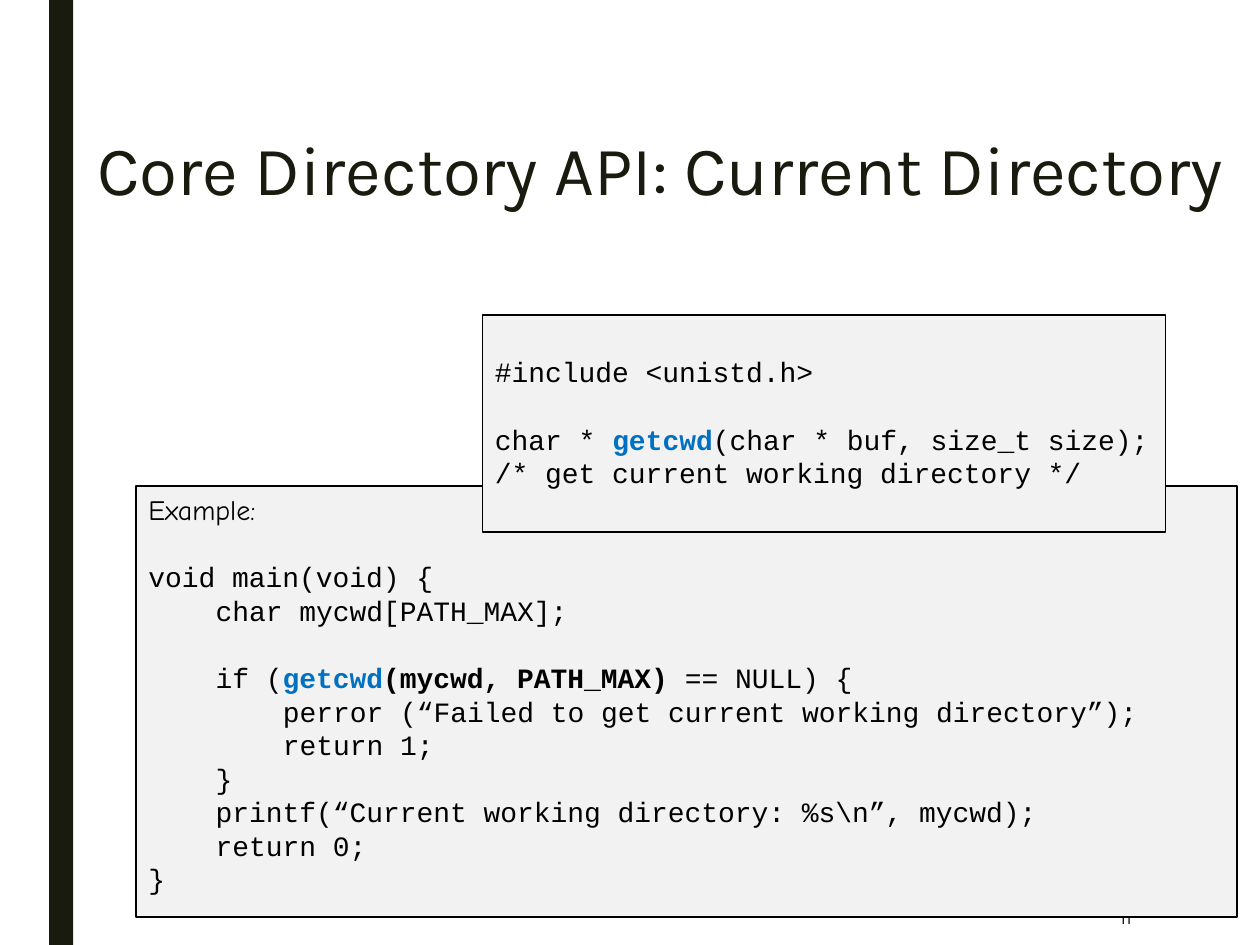
from dataclasses import dataclass

from pptx import Presentation
from pptx.dml.color import RGBColor
from pptx.enum.shapes import MSO_SHAPE
from pptx.enum.text import MSO_ANCHOR, PP_ALIGN
from pptx.util import Inches, Pt

RECT = MSO_SHAPE.RECTANGLE
TOP, MIDDLE = MSO_ANCHOR.TOP, MSO_ANCHOR.MIDDLE
LEFT, RIGHT = PP_ALIGN.LEFT, PP_ALIGN.RIGHT

INK, BLACK, BLUE, PANEL = "191B0E", "000000", "0070C0", "F2F2F2"
HEADING, CODE, HAND = "Karla", "Courier New", "Comic Neue"
CODE_SIZE = 16
LINE_PITCH = 19.2  # points from one code line to the next
INDENT = 4 * 0.6 * CODE_SIZE / 72  # four monospaced characters, in inches


@dataclass
class Span:
    text: str
    color: str = BLACK
    bold: bool = False
    font: str = CODE


@dataclass
class Line:
    spans: list[Span]
    level: int = 0
    gap: bool = False  # one line of space above


@dataclass
class Panel:
    left: float
    top: float
    width: float
    height: float
    lines: list[Line]
    inset_top: float = 0.05
    wrap: bool = True


def rgb(color: str) -> RGBColor:
    return RGBColor.from_string(color)


def add_run(p, text: str, size: float, font: str, color: str, bold: bool = False) -> None:
    r = p.add_run()
    r.text = text
    r.font.size = Pt(size)
    r.font.name = font
    r.font.bold = bold
    r.font.color.rgb = rgb(color)


def add_rect(s, left: float, top: float, width: float, height: float, fill: str):
    sp = s.shapes.add_shape(RECT, Inches(left), Inches(top), Inches(width), Inches(height))
    sp.shadow.inherit = False
    sp.fill.solid()
    sp.fill.fore_color.rgb = rgb(fill)
    sp.line.fill.background()
    return sp


def add_panel(s, panel: Panel) -> None:
    sp = add_rect(s, panel.left, panel.top, panel.width, panel.height, PANEL)
    sp.line.color.rgb = rgb(BLACK)
    sp.line.width = Pt(1)
    tf = sp.text_frame
    tf.word_wrap = panel.wrap
    tf.vertical_anchor = TOP
    tf.margin_top = Inches(panel.inset_top)
    for i, line in enumerate(panel.lines):
        p = tf.add_paragraph() if i else tf.paragraphs[0]
        p.alignment = LEFT
        p.line_spacing = Pt(LINE_PITCH)
        p.space_before = Pt(LINE_PITCH if line.gap else 0)
        pPr = p._p.get_or_add_pPr()
        pPr.set("marL", str(Inches(line.level * INDENT)))
        pPr.set("indent", "0")
        for span in line.spans:
            add_run(p, span.text, CODE_SIZE, span.font, span.color, span.bold)


EXAMPLE = Panel(1.08, 3.86, 8.74, 3.42, [
    Line([Span("Example:", font=HAND)]),
    Line([Span("void main(void) {")], gap=True),
    Line([Span("char mycwd[PATH_MAX];")], level=1),
    Line([Span("if ("), Span("getcwd", BLUE, True),
          Span("(mycwd, PATH_MAX)", bold=True), Span(" == NULL) {")], level=1, gap=True),
    Line([Span("perror (“Failed to get current working directory”);")], level=2),
    Line([Span("return 1;")], level=2),
    Line([Span("}")], level=1),
    Line([Span("printf(“Current working directory: %s\\n”, mycwd);")], level=1),
    Line([Span("return 0;")], level=1),
    Line([Span("}")]),
])

PROTOTYPE = Panel(3.83, 2.5, 5.42, 1.72, [
    Line([Span("#include <unistd.h>")]),
    Line([Span("char * "), Span("getcwd", BLUE, True),
          Span("(char * buf, size_t size);")], gap=True),
    Line([Span("/* get current working directory */")]),
], inset_top=0.05 + LINE_PITCH / 72, wrap=False)


def main() -> None:
    prs = Presentation()
    prs.slide_width, prs.slide_height = Inches(10), Inches(7.5)
    s = prs.slides.add_slide(prs.slide_layouts[5])

    # Side bar
    add_rect(s, 0.39, 0, 0.19, 7.5, INK)

    # Title
    title = s.shapes.title
    title.left, title.top = Inches(0.67), Inches(1)
    title.width, title.height = Inches(9.33), Inches(0.75)
    tf = title.text_frame
    tf.word_wrap = True
    tf.vertical_anchor = MIDDLE
    p = tf.paragraphs[0]
    p.alignment = LEFT
    p.line_spacing = 0.89
    add_run(p, "Core Directory API: Current Directory", 39.6, HEADING, INK)

    # Slide number
    number = s.shapes.add_textbox(Inches(7.77), Inches(7.06), Inches(1.31), Inches(0.44))
    tf = number.text_frame
    tf.word_wrap = True
    tf.vertical_anchor = MIDDLE
    p = tf.paragraphs[0]
    p.alignment = RIGHT
    add_run(p, "11", 10, HEADING, INK)

    # Code panels, the prototype over the example
    for panel in (EXAMPLE, PROTOTYPE):
        add_panel(s, panel)

    prs.save("out.pptx")


if __name__ == "__main__":
    main()
